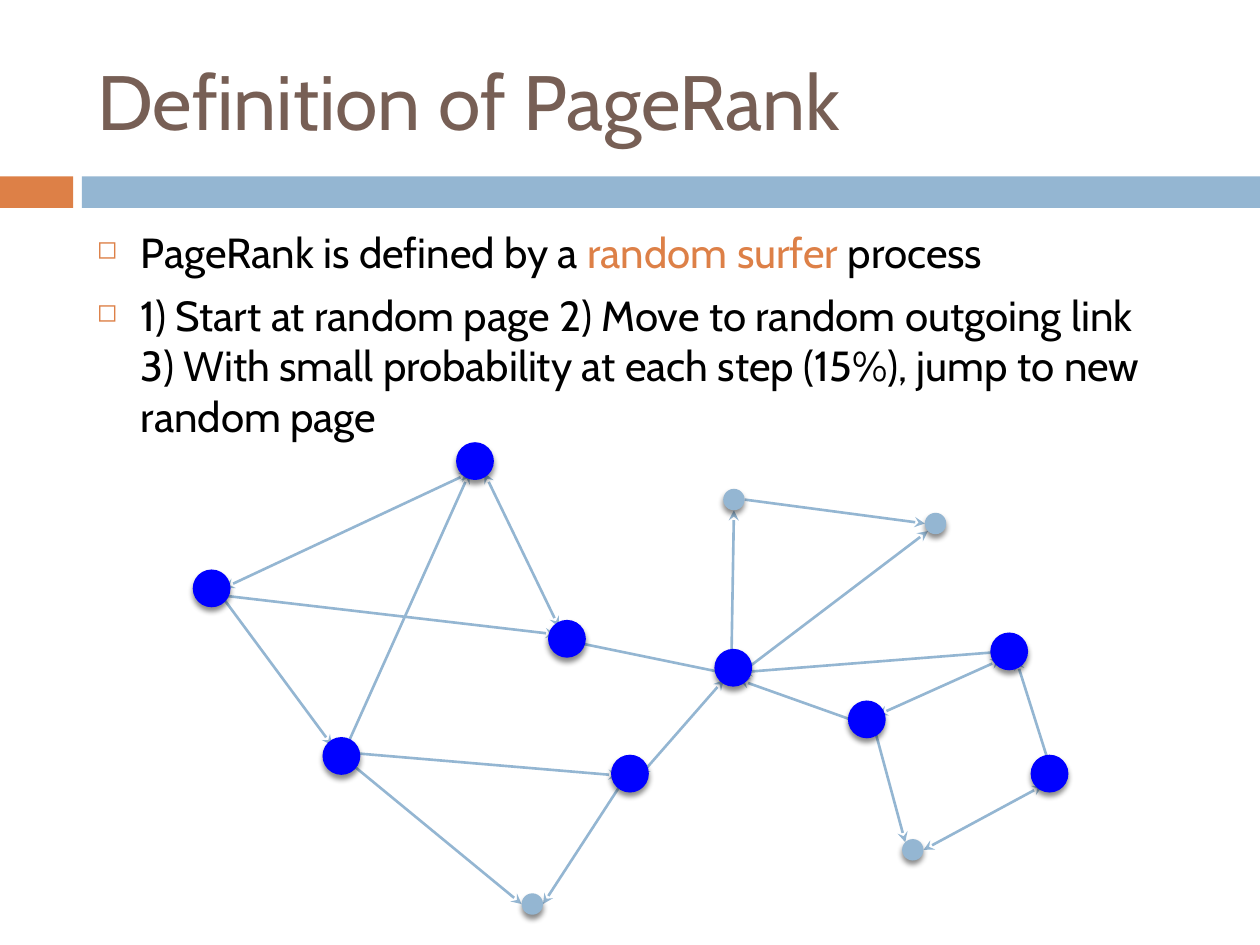
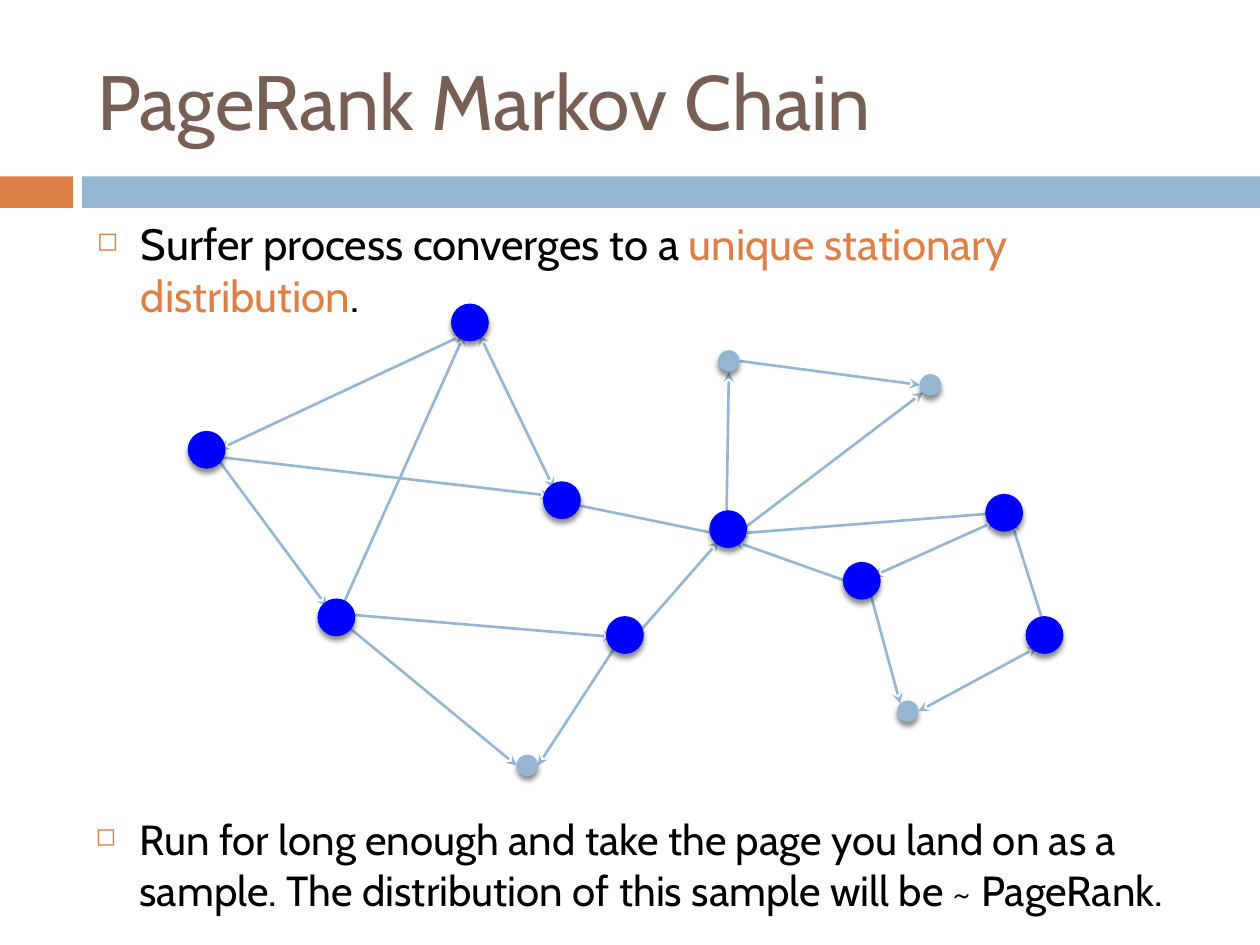
from dataclasses import dataclass
from math import cos, radians, sin

from lxml import etree
from pptx import Presentation
from pptx.dml.color import RGBColor
from pptx.enum.shapes import MSO_CONNECTOR, MSO_SHAPE
from pptx.enum.text import MSO_ANCHOR, MSO_AUTO_SIZE, PP_ALIGN
from pptx.oxml.ns import qn
from pptx.util import Inches, Pt

OVAL, RECTANGLE = MSO_SHAPE.OVAL, MSO_SHAPE.RECTANGLE
STRAIGHT = MSO_CONNECTOR.STRAIGHT
TITLE_ONLY = 5


@dataclass(frozen=True)
class Theme:
    font: str = "Cabin"
    title: str = "775F55"
    text: str = "000000"
    accent: str = "DD8047"
    band: str = "94B6D2"
    hub: str = "0000FF"
    title_size: int = 44
    body_size: int = 24
    lead_size: int = 25
    edge_width: float = 1.5


THEME = Theme()
BANDS = [((0, 1.4, 0.58, 0.25), THEME.accent), ((0.65, 1.4, 9.35, 0.25), THEME.band)]
TITLE_BOX = (0.67, 0.25, 8.92, 1.08)

# A run is (text, colour); "\n" in a run is a line break.
SLIDES = [
    {
        "title": "Definition of PageRank",
        "graph_shift": (0, 0),
        "bodies": [
            ((0.67, 1.75, 8.92, 4.92), THEME.body_size, [
                [("PageRank is defined by a ", THEME.text),
                 ("random surfer ", THEME.accent),
                 ("process", THEME.text)],
                [("1) Start at random page 2) Move to random outgoing link\n"
                  "3) With small probability at each step (15%), jump to new random page",
                  THEME.text)],
            ]),
        ],
    },
    {
        "title": "PageRank Markov Chain",
        "graph_shift": (-0.04, -1.1),
        "bodies": [
            ((0.67, 1.67, 8.92, 1.29), THEME.lead_size, [
                [("Surfer process converges to a ", THEME.text),
                 ("unique stationary distribution", THEME.accent),
                 (".", THEME.text)],
            ]),
            ((0.66, 6.41, 8.92, 1.09), THEME.body_size, [
                [("Run for long enough and take the page you land on as a sample. "
                  "The distribution of this sample will be ~ PageRank.", THEME.text)],
            ]),
        ],
    },
]

# Each page of the web graph: corner of its link ring, corner of its hub disc if it has one.
PAGES = {
    "top": ((3.70, 3.61), (3.62, 3.51)),
    "left": ((1.61, 4.58), (1.53, 4.52)),
    "lower": ((2.61, 5.89), (2.56, 5.85)),
    "middle": ((4.91, 6.07), (4.85, 5.99)),
    "center": ((5.72, 5.25), (5.67, 5.15)),
    "heart": ((4.41, 4.95), (4.35, 4.92)),
    "inner": ((6.82, 5.65), (6.73, 5.56)),
    "right": ((7.92, 5.09), (7.86, 5.02)),
    "corner": ((8.25, 6.09), (8.18, 5.99)),
    "leaf": ((7.16, 6.66), None),
    "far": ((7.34, 4.07), None),
    "upper": ((5.74, 3.88), None),
    "bottom": ((4.14, 7.09), None),
}
LINKS = [  # from page, side, to page, side, both ways
    ("inner", "N", "leaf", "NW", False),
    ("left", "E", "top", "SW", True),
    ("left", "SE", "lower", "NW", False),
    ("lower", "SE", "bottom", "W", False),
    ("lower", "E", "middle", "W", False),
    ("middle", "E", "center", "SW", True),
    ("left", "SE", "heart", "W", False),
    ("center", "W", "heart", "SE", False),
    ("lower", "NE", "top", "SW", False),
    ("heart", "NW", "top", "SE", True),
    ("center", "N", "upper", "S", False),
    ("center", "E", "far", "SW", True),
    ("upper", "E", "far", "W", False),
    ("corner", "N", "right", "SE", True),
    ("center", "SE", "inner", "W", True),
    ("inner", "NE", "right", "SW", True),
    ("corner", "SW", "leaf", "E", True),
    ("middle", "SW", "bottom", "E", False),
    ("right", "W", "center", "E", False),
]
RING_SIZE, HUB_SIZE = 0.17, 0.3
SIDES = {side: radians(45 * step)
         for step, side in enumerate(["E", "SE", "S", "SW", "W", "NW", "N", "NE"])}


def color(code):
    return RGBColor.from_string(code)


def child(parent, tag, **attributes):
    element = etree.SubElement(parent, qn(tag))
    for key, value in attributes.items():
        element.set(key, str(value))
    return element


def add_filled(slide, kind, box, fill):
    shape = slide.shapes.add_shape(kind, *map(Inches, box))
    shape.shadow.inherit = False
    shape.fill.solid()
    shape.fill.fore_color.rgb = color(fill)
    shape.line.fill.background()
    return shape


def add_disc(slide, corner, size, fill):
    disc = add_filled(slide, OVAL, (*corner, size, size), fill)
    effects = disc._element.spPr.find(qn("a:effectLst"))
    shadow = child(effects, "a:outerShdw", blurRad=Pt(3), dist=Pt(2.4),
                   dir=90 * 60000, rotWithShape=0)
    child(child(shadow, "a:srgbClr", val="000000"), "a:alpha", val=45000)


def add_link(slide, start, end, both_ways):
    link = slide.shapes.add_connector(STRAIGHT, *map(Inches, (*start, *end)))
    link.line.color.rgb = color(THEME.band)
    link.line.width = Pt(THEME.edge_width)
    outline = link.line._get_or_add_ln()
    if both_ways:
        child(outline, "a:headEnd", type="stealth")
    child(outline, "a:tailEnd", type="stealth")
    child(link._element.spPr, "a:effectLst")


def add_graph(slide, shift):
    def moved(corner):
        return corner[0] + shift[0], corner[1] + shift[1]

    def anchor(page, side):
        """Point on the page's link ring at a compass side."""
        x, y = moved(PAGES[page][0])
        radius, angle = RING_SIZE / 2, SIDES[side]
        return x + radius * (1 + cos(angle)), y + radius * (1 + sin(angle))

    for source, out_side, target, in_side, both_ways in LINKS:
        add_link(slide, anchor(source, out_side), anchor(target, in_side), both_ways)
    for ring, hub in PAGES.values():
        if hub:
            add_disc(slide, moved(hub), HUB_SIZE, THEME.hub)
        else:
            add_disc(slide, moved(ring), RING_SIZE, THEME.band)


def add_run(paragraph, text, size, code):
    run = paragraph.add_run()
    run.text = text
    run.font.name = THEME.font
    run.font.size = Pt(size)
    run.font.color.rgb = color(code)


def add_bullet(paragraph):
    properties = paragraph._p.get_or_add_pPr()
    properties.set("marL", str(Inches(0.35)))
    properties.set("indent", str(-Inches(0.35)))
    child(child(properties, "a:buClr"), "a:srgbClr", val=THEME.accent)
    child(properties, "a:buSzPct", val=60000)
    child(properties, "a:buChar", char="◻")


def add_body(slide, box, size, bullets):
    frame = slide.shapes.add_textbox(*map(Inches, box)).text_frame
    frame.word_wrap = True
    for index, runs in enumerate(bullets):
        paragraph = frame.add_paragraph() if index else frame.paragraphs[0]
        add_bullet(paragraph)
        if index:
            paragraph.space_before = Pt(7)
        for text, code in runs:
            for number, line in enumerate(text.split("\n")):
                if number:
                    paragraph.add_line_break()
                add_run(paragraph, line, size, code)


def set_title(slide, text):
    title = slide.shapes.title
    title.left, title.top, title.width, title.height = map(Inches, TITLE_BOX)
    frame = title.text_frame
    frame.auto_size = MSO_AUTO_SIZE.NONE
    frame.vertical_anchor = MSO_ANCHOR.MIDDLE
    paragraph = frame.paragraphs[0]
    paragraph.alignment = PP_ALIGN.LEFT
    add_run(paragraph, text, THEME.title_size, THEME.title)


def main():
    deck = Presentation()
    deck.slide_width, deck.slide_height = Inches(10), Inches(7.5)
    for content in SLIDES:
        slide = deck.slides.add_slide(deck.slide_layouts[TITLE_ONLY])
        for box, fill in BANDS:
            add_filled(slide, RECTANGLE, box, fill)
        set_title(slide, content["title"])
        add_graph(slide, content["graph_shift"])
        for body in content["bodies"]:
            add_body(slide, *body)
    deck.save("out.pptx")


if __name__ == "__main__":
    main()
